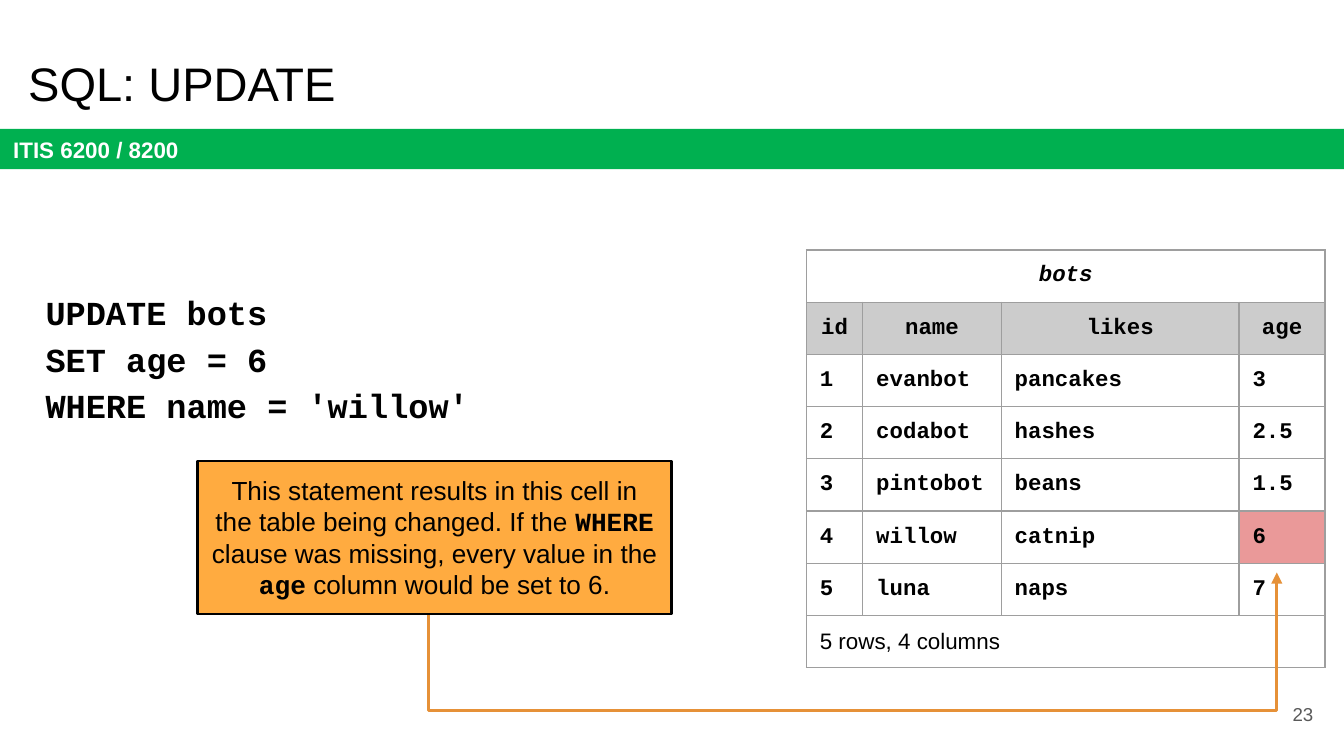
from lxml import etree
from pptx import Presentation
from pptx.dml.color import RGBColor
from pptx.enum import shapes, text
from pptx.oxml import ns
from pptx.util import Inches, Pt

BLACK = RGBColor(0x00, 0x00, 0x00)
WHITE = RGBColor(0xFF, 0xFF, 0xFF)
GREEN = RGBColor(0x00, 0xB0, 0x50)
HEADER_GRAY = RGBColor(0xCC, 0xCC, 0xCC)
BORDER_GRAY = RGBColor(0x9E, 0x9E, 0x9E)
NUMBER_GRAY = RGBColor(0x59, 0x59, 0x59)
CHANGED_PINK = RGBColor(0xEA, 0x99, 0x99)
CALLOUT_ORANGE = RGBColor(0xFF, 0xAB, 0x40)
ARROW_ORANGE = RGBColor(0xE6, 0x91, 0x38)

SANS = "Arial"
MONO = "Courier New"
MARGIN = Inches(0.1)

COLUMN_WIDTHS = [0.42, 1.03, 1.77, 0.64]
ROW_HEIGHT = 0.38  # rows grow to fit their text
HEADER = ["id", "name", "likes", "age"]
BOTS = [
    ["1", "evanbot", "pancakes", "3"],
    ["2", "codabot", "hashes", "2.5"],
    ["3", "pintobot", "beans", "1.5"],
    ["4", "willow", "catnip", "6"],
    ["5", "luna", "naps", "7"],
]
CHANGED_CELL = (5, 3)


def style_run(run, size, name=SANS, color=BLACK, bold=False, italic=False):
    font = run.font
    font.size = Pt(size)
    font.name = name
    font.color.rgb = color
    font.bold = bold
    font.italic = italic


def set_text(text_frame, content, size, align=text.PP_ALIGN.LEFT,
             anchor=text.MSO_ANCHOR.TOP, **style):
    text_frame.word_wrap = True
    text_frame.auto_size = text.MSO_AUTO_SIZE.NONE
    text_frame.vertical_anchor = anchor
    text_frame.margin_left = text_frame.margin_right = MARGIN
    text_frame.margin_top = text_frame.margin_bottom = MARGIN
    text_frame.text = content
    paragraph = text_frame.paragraphs[0]
    paragraph.alignment = align
    for run in paragraph.runs:
        style_run(run, size, **style)
    return paragraph


def add_rectangle(slide, left, top, width, height, fill):
    shape = slide.shapes.add_shape(
        shapes.MSO_SHAPE.RECTANGLE,
        Inches(left), Inches(top), Inches(width), Inches(height))
    shape.shadow.inherit = False
    shape.fill.solid()
    shape.fill.fore_color.rgb = fill
    return shape


def add_text_box(slide, left, top, width, height, content, size, **options):
    box = slide.shapes.add_textbox(
        Inches(left), Inches(top), Inches(width), Inches(height))
    return set_text(box.text_frame, content, size, **options)


def add_heading(slide, left, top, width, height):
    title = slide.shapes.title
    title.left, title.top = Inches(left), Inches(top)
    title.width, title.height = Inches(width), Inches(height)
    set_text(title.text_frame, "SQL: UPDATE", 25.2,
             anchor=text.MSO_ANCHOR.MIDDLE)


def add_course_band(slide, left, top, width, height):
    band = add_rectangle(slide, left, top, width, height, GREEN)
    band.line.fill.background()
    set_text(band.text_frame, "ITIS 6200 / 8200", 12,
             anchor=text.MSO_ANCHOR.MIDDLE, color=WHITE, bold=True)


def set_borders(cell):
    properties = cell._tc.get_or_add_tcPr()
    for position, side in enumerate(("lnL", "lnR", "lnT", "lnB")):
        line = etree.Element(ns.qn(f"a:{side}"), w=str(Pt(0.75)))
        fill = etree.SubElement(line, ns.qn("a:solidFill"))
        etree.SubElement(fill, ns.qn("a:srgbClr"), val=str(BORDER_GRAY))
        properties.insert(position, line)


def fill_cell(cell, content, fill=None, align=text.PP_ALIGN.LEFT, **style):
    cell.margin_left = cell.margin_right = MARGIN
    cell.margin_top = cell.margin_bottom = MARGIN
    cell.text = content
    paragraph = cell.text_frame.paragraphs[0]
    paragraph.alignment = align
    for run in paragraph.runs:
        style_run(run, 12, **style)
    if fill is None:
        cell.fill.background()
    else:
        cell.fill.solid()
        cell.fill.fore_color.rgb = fill
    set_borders(cell)


def add_bots_table(slide, left, top):
    # Caption row, header row, one row per bot, summary row
    rows = [["bots", "", "", ""], HEADER, *BOTS,
            ["5 rows, 4 columns", "", "", ""]]
    last = len(rows) - 1
    table = slide.shapes.add_table(
        len(rows), len(HEADER), Inches(left), Inches(top),
        Inches(sum(COLUMN_WIDTHS)), Inches(ROW_HEIGHT * len(rows))).table
    table.first_row = table.horz_banding = False
    for column, width in zip(table.columns, COLUMN_WIDTHS):
        column.width = Inches(width)
    for i, row in enumerate(rows):
        table.rows[i].height = Inches(ROW_HEIGHT)
        for j, content in enumerate(row):
            fill = None
            if i == 1:
                fill = HEADER_GRAY
            elif (i, j) == CHANGED_CELL:
                fill = CHANGED_PINK
            fill_cell(
                table.cell(i, j), content, fill,
                align=text.PP_ALIGN.CENTER if i < 2 else text.PP_ALIGN.LEFT,
                name=SANS if i == last else MONO,
                bold=i != last, italic=i == 0)
    for i in (0, last):
        table.cell(i, 0).merge(table.cell(i, len(HEADER) - 1))


def add_statement(slide, left, top, width, height):
    paragraph = add_text_box(
        slide, left, top, width, height,
        "UPDATE bots\vSET age = 6\vWHERE name = 'willow'", 18,
        name=MONO, bold=True)
    paragraph.line_spacing = 1.15
    paragraph.space_after = Pt(12)


def add_arrow(slide, left, top, width, height):
    # Down from the callout, across, and up to the changed cell
    right, bottom = left + width, top + height
    builder = slide.shapes.build_freeform(
        Inches(left), Inches(top + 0.13), scale=1.0)
    builder.add_line_segments(
        [(Inches(x), Inches(y))
         for x, y in ((left, bottom), (right, bottom), (right, top))],
        close=False)
    arrow = builder.convert_to_shape()
    arrow.shadow.inherit = False
    arrow.fill.background()
    arrow.line.color.rgb = ARROW_ORANGE
    arrow.line.width = Pt(1.5)
    etree.SubElement(arrow.line._get_or_add_ln(), ns.qn("a:tailEnd"),
                     type="triangle")


def add_callout(slide, left, top, width, height):
    callout = add_rectangle(slide, left, top, width, height, CALLOUT_ORANGE)
    callout.line.color.rgb = BLACK
    callout.line.width = Pt(1.5)
    paragraph = set_text(callout.text_frame, "", 14,
                         align=text.PP_ALIGN.CENTER)
    for content, is_code in (
            ("This statement results in this cell in the table being "
             "changed. If the ", False),
            ("WHERE", True),
            (" clause was missing, every value in the ", False),
            ("age", True),
            (" column would be set to 6.", False)):
        run = paragraph.add_run()
        run.text = content
        style_run(run, 14, name=MONO if is_code else SANS, bold=is_code)


def main():
    # Widescreen, 16:9
    presentation = Presentation()
    presentation.slide_width = Inches(10)
    presentation.slide_height = presentation.slide_width * 9 // 16
    slide = presentation.slides.add_slide(presentation.slide_layouts[5])

    add_course_band(slide, 0, 0.96, 10, 0.3)
    add_bots_table(slide, 6, 1.86)
    add_heading(slide, 0.11, 0.3, 9.32, 0.63)
    add_text_box(slide, 9.27, 5.1, 0.6, 0.43, "23", 10,
                 align=text.PP_ALIGN.RIGHT, anchor=text.MSO_ANCHOR.MIDDLE,
                 color=NUMBER_GRAY)
    add_statement(slide, 0.24, 2.03, 4.82, 1.2)
    add_arrow(slide, 3.19, 4.26, 6.31, 1.03)
    add_callout(slide, 1.47, 3.43, 3.53, 1.14)

    presentation.save("out.pptx")


if __name__ == "__main__":
    main()
